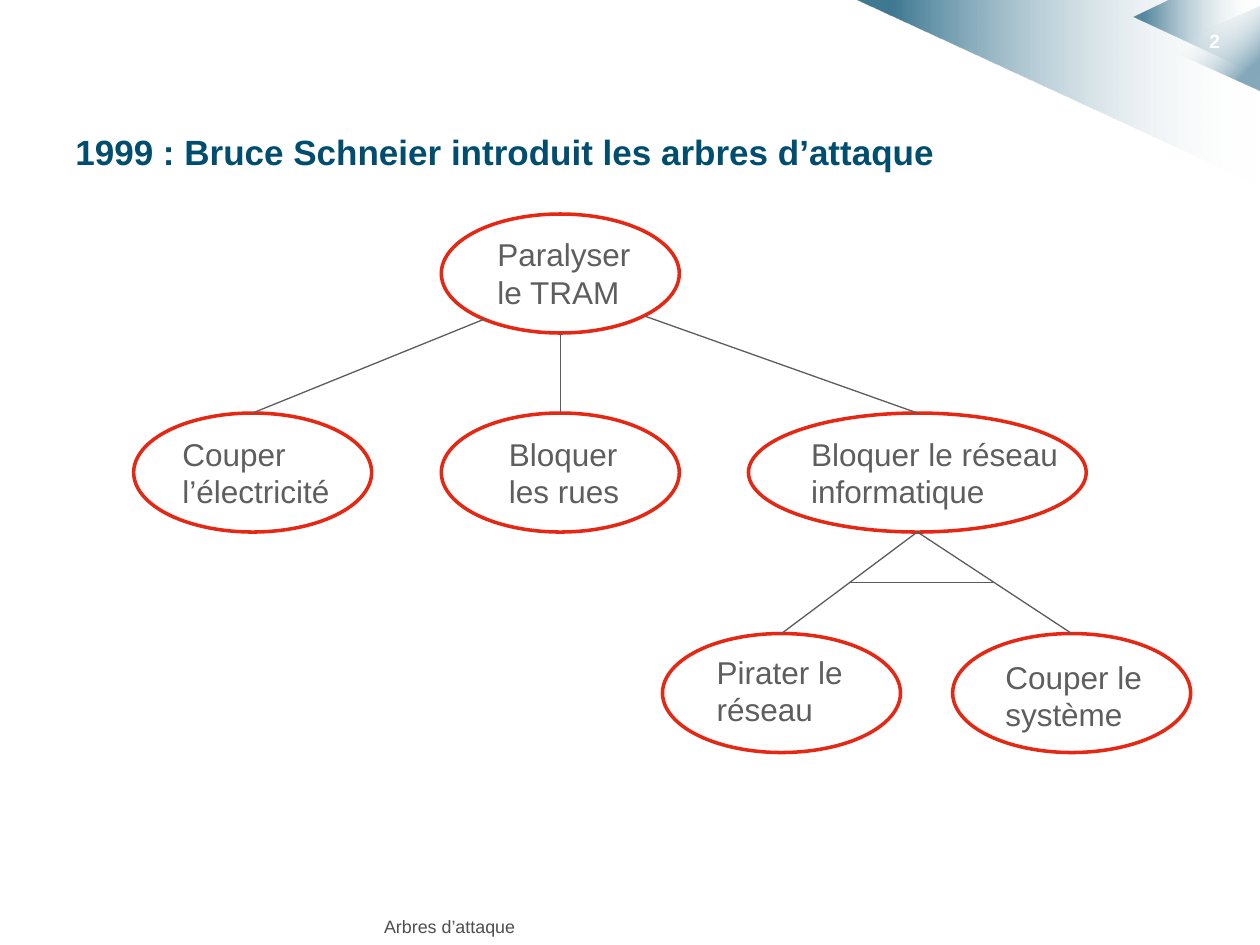
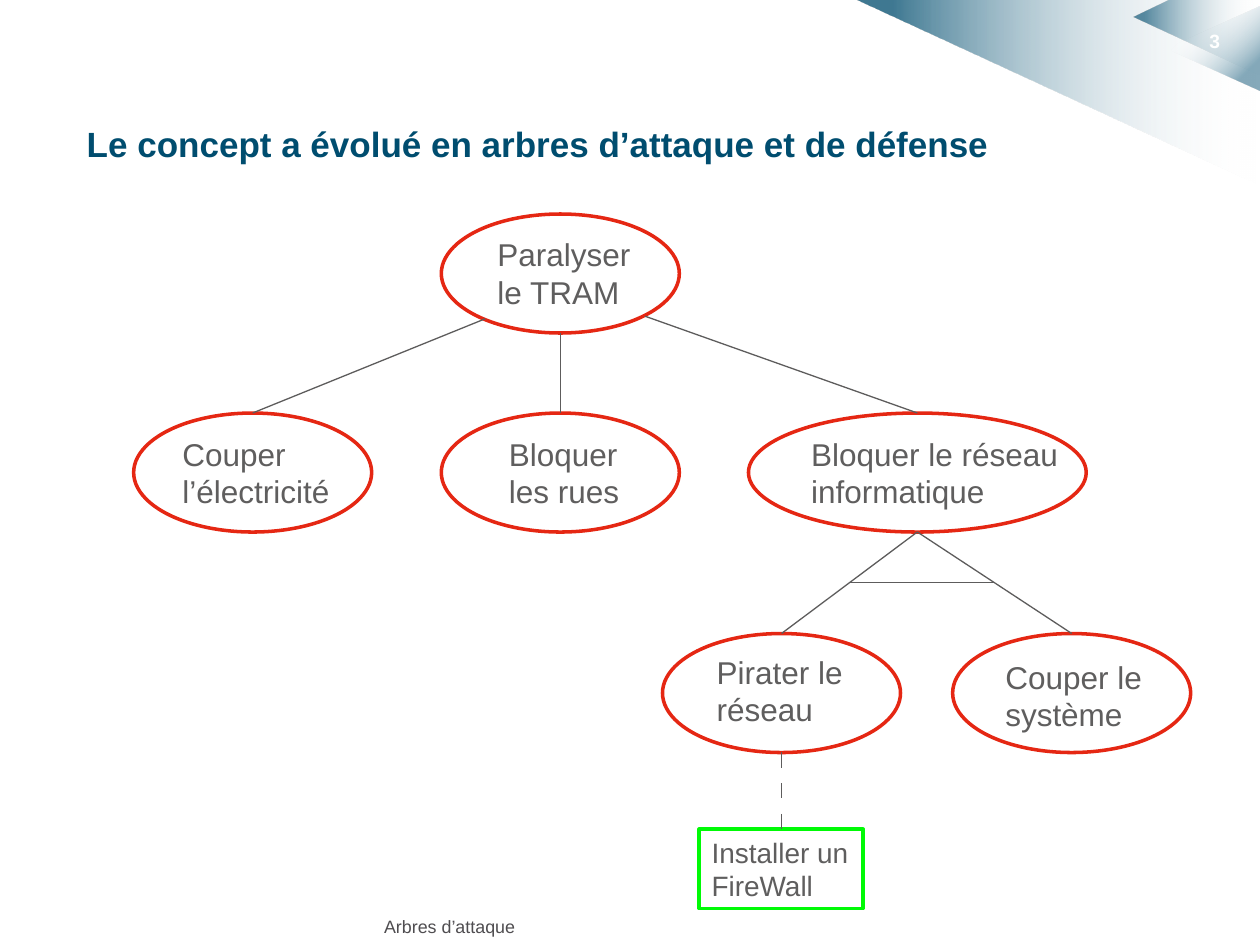
from collections import namedtuple

from lxml.etree import SubElement
from pptx import Presentation
from pptx.dml.color import RGBColor
from pptx.enum.shapes import MSO_CONNECTOR, MSO_SHAPE
from pptx.oxml.ns import qn
from pptx.util import Pt

# Shared look
FONT = "Arial"
WHITE = RGBColor(0xFF, 0xFF, 0xFF)
NAVY = RGBColor(0x00, 0x4D, 0x6F)
TEXT_GREY = RGBColor(0x5F, 0x5E, 0x5E)
FOOTER_GREY = RGBColor(0x4F, 0x4D, 0x50)
LINE_GREY = RGBColor(0x5D, 0x5C, 0x5C)
ATTACK_RED = RGBColor(0xE5, 0x27, 0x13)
DEFENSE_GREEN = RGBColor(0x00, 0xFA, 0x06)

SLIDE_WIDTH, SLIDE_HEIGHT = 720, 540
NODE_WIDTH, WIDE_NODE_WIDTH, NODE_HEIGHT = 136, 193, 68

# Attack tree: node centre, width, then left, top and width of the label
Node = namedtuple("Node", "text x y width label_left label_top label_width")
ROOT = Node("Paralyser le TRAM", 320.2, 156.3, NODE_WIDTH, 277.2, 131, 102)
POWER = Node("Couper l’électricité", 144.4, 270, NODE_WIDTH, 97.2, 244.8, 102)
STREETS = Node("Bloquer les rues", 320.2, 270, NODE_WIDTH, 283.7, 244.8, 88.5)
NETWORK = Node("Bloquer le réseau informatique", 524.2, 270, WIDE_NODE_WIDTH,
               456.5, 244.8, 164)
HACK = Node("Pirater le réseau", 446.6, 396, NODE_WIDTH, 402.5, 369.4, 108)
SYSTEM = Node("Couper le système", 612.4, 396, NODE_WIDTH, 567.4, 372.2, 102)
NODES = (ROOT, POWER, STREETS, NETWORK, HACK, SYSTEM)


def add_text(slide, text, left, top, width, height, *, size,
             color=TEXT_GREY, bold=False, space_before=0):
    box = slide.shapes.add_textbox(Pt(left), Pt(top), Pt(width), Pt(height))
    box.text_frame.word_wrap = True
    paragraph = box.text_frame.paragraphs[0]
    paragraph.space_before = Pt(space_before)
    run = paragraph.add_run()
    run.text = text
    run.font.name = FONT
    run.font.size = Pt(size)
    run.font.bold = bold
    run.font.color.rgb = color


def add_outlined(slide, kind, left, top, width, height, color):
    shape = slide.shapes.add_shape(kind, Pt(left), Pt(top), Pt(width), Pt(height))
    shape.shadow.inherit = False
    shape.fill.solid()
    shape.fill.fore_color.rgb = WHITE
    shape.line.color.rgb = color
    shape.line.width = Pt(2)


def add_line(slide, start, end):
    line = slide.shapes.add_connector(
        MSO_CONNECTOR.STRAIGHT, *(Pt(value) for value in (*start, *end)))
    line.line.color.rgb = LINE_GREY
    line.line.width = Pt(0.75)
    SubElement(line.element.spPr, qn("a:effectLst"))


def fade(shape, angle, white_position, navy_position, opacity):
    """Fill with a gradient from clear white to translucent navy."""
    shape.shadow.inherit = False
    shape.line.fill.background()
    shape.fill.gradient()
    shape.fill.gradient_angle = angle
    settings = ((white_position, WHITE, 0), (navy_position, NAVY, opacity))
    for stop, (position, color, _) in zip(shape.fill.gradient_stops, settings):
        stop.position = position
        stop.color.rgb = color
    # Opacity of each gradient stop
    colors = list(shape.element.spPr.iter(qn("a:srgbClr")))
    for element, (_, _, percent) in zip(colors, settings):
        SubElement(element, qn("a:alpha"), val=str(percent * 1000))


def add_band(slide, points, opacity):
    corners = [(Pt(x), Pt(y)) for x, y in points]
    builder = slide.shapes.build_freeform(*corners[0])
    builder.add_line_segments(corners[1:], close=True)
    fade(builder.convert_to_shape(), 180, 0.01, 0.91, opacity)


def add_page(presentation, number, title, title_left, title_top):
    slide = presentation.slides.add_slide(presentation.slide_layouts[6])
    # Corner bands
    add_band(slide, [(489, 0), (SLIDE_WIDTH, 0), (SLIDE_WIDTH, 106)], 75)
    add_band(slide, [(648, 10), (669, 0), (SLIDE_WIDTH, 0), (SLIDE_WIDTH, 43)], 63)
    triangle = slide.shapes.add_shape(
        MSO_SHAPE.ISOSCELES_TRIANGLE, Pt(669), Pt(0.7), Pt(49), Pt(54))
    triangle.rotation = 270
    fade(triangle, 225, 0.27, 0.81, 48)
    # Page number, title and footer
    add_text(slide, str(number), 684, 13, 36, 29, size=11, color=WHITE, bold=True)
    add_text(slide, title, title_left, title_top, 648, 436,
             size=20, color=NAVY, bold=True, space_before=4)
    add_text(slide, "Arbres d’attaque", 212.4, 519.8, 420, 17.3,
             size=10.2, color=FOOTER_GREY, space_before=2)
    return slide


def top_of(node):
    return node.x, node.y - NODE_HEIGHT / 2


def bottom_of(node):
    return node.x, node.y + NODE_HEIGHT / 2


def middle(start, end):
    return (start[0] + end[0]) / 2, (start[1] + end[1]) / 2


def add_attack_tree(slide):
    for node in NODES:
        add_outlined(slide, MSO_SHAPE.OVAL, node.x - node.width / 2,
                     node.y - NODE_HEIGHT / 2, node.width, NODE_HEIGHT, ATTACK_RED)
    for node in NODES:
        add_text(slide, node.text, node.label_left, node.label_top,
                 node.label_width, 51, size=18)
    # Alternatives below the root
    add_line(slide, (277.2, 182.2), top_of(POWER))
    add_line(slide, bottom_of(ROOT), top_of(STREETS))
    add_line(slide, (368.6, 180.7), top_of(NETWORK))
    # Joint steps, tied by a bar halfway down
    fork = bottom_of(NETWORK)
    for child in (HACK, SYSTEM):
        add_line(slide, fork, top_of(child))
    add_line(slide, middle(fork, top_of(HACK)), middle(fork, top_of(SYSTEM)))


def add_defense(slide):
    left, top, width, height = box = 399.6, 473.8, 93.6, 45.4
    add_outlined(slide, MSO_SHAPE.RECTANGLE, *box, DEFENSE_GREEN)
    # Three dashes with equal gaps
    x, start = bottom_of(HACK)
    step = (top - start) / 5
    for index in (0, 2, 4):
        y = start + index * step
        add_line(slide, (x, y), (x, y + step))
    add_text(slide, "Installer un FireWall", *box, size=16)


def main():
    presentation = Presentation()
    presentation.slide_width = Pt(SLIDE_WIDTH)
    presentation.slide_height = Pt(SLIDE_HEIGHT)

    attack = add_page(presentation, 2,
                      "1999 : Bruce Schneier introduit les arbres d’attaque", 36, 71.3)
    add_attack_tree(attack)

    defense = add_page(presentation, 3,
                       "Le concept a évolué en arbres d’attaque et de défense", 42.5, 66.2)
    add_attack_tree(defense)
    add_defense(defense)

    presentation.save("out.pptx")


main()
